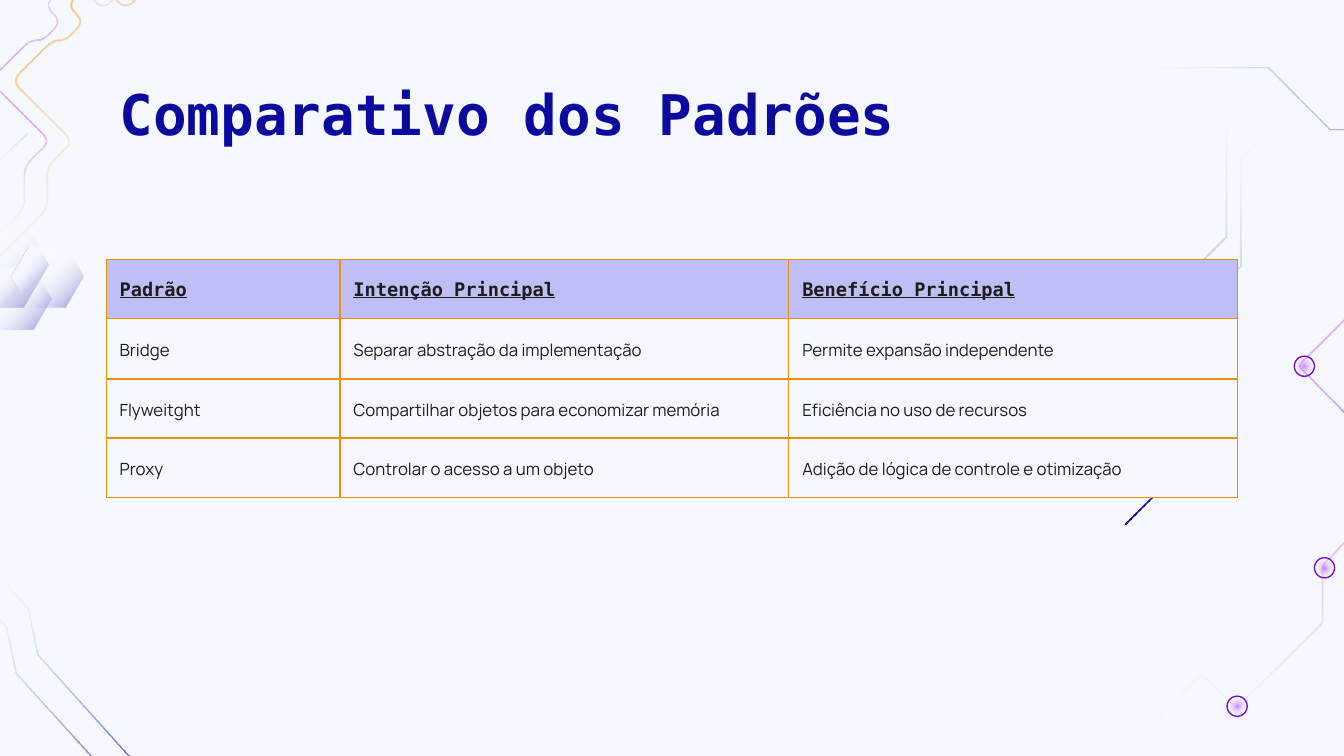
import math

from lxml import etree
from pptx import Presentation
from pptx import util as u
from pptx.dml.color import RGBColor
from pptx.enum import shapes, text
from pptx.oxml import ns

PX = 9144  # EMU in one px, 100 px to the inch
STROKE = u.Pt(0.9)

PAPER = RGBColor(0xF5, 0xF8, 0xFF)
WHITE = RGBColor(0xFF, 0xFF, 0xFF)
NAVY = RGBColor(0x0C, 0x0A, 0x9E)
VIOLET = RGBColor(0x99, 0x00, 0xFF)
RING = RGBColor(0x82, 0x08, 0xD5)
AMBER = RGBColor(0xEB, 0x91, 0x09)
ORANGE = RGBColor(0xFF, 0x99, 0x00)
LILAC = RGBColor(0xBF, 0xBE, 0xF7)
INK = RGBColor(0x1D, 0x1D, 0x1D)

MONO, SANS = "DejaVu Sans Mono", "Manrope"

# Gradient stops: position %, colour, opacity %
NAVY_FADE = [(0, NAVY, 100), (100, WHITE, 0)]
SOFT_NAVY_FADE = [(0, NAVY, 37), (100, WHITE, 0)]
VIOLET_GLOW = [(0, VIOLET, 47), (100, WHITE, 0)]
AMBER_FADE = [(0, AMBER, 100), (40, ORANGE, 41), (100, WHITE, 0)]
HEXAGON_FADE = [(0, PAPER, 100), (22, PAPER, 100), (45, WHITE, 0), (100, NAVY, 50)]

TRACK = [(837, 390), (877, 350), (877, 244), (923, 198),
         (923, 119), (948, 94), (991, 94), (991, 81)]
CIRCUIT = [(1207, 30), (1146, 92), (1178, 127), (1070, 236), (1035, 203), (966, 272),
           (1048, 355), (984, 420), (984, 463), (920, 526), (894, 501), (863, 532),
           (888, 558), (877, 572), (888, 585), (884, 590), (880, 585)]
CORNER_TRACK = [(119, 625), (110, 578), (28, 487), (21, 453), (-15, 413)]
WAVE = [(58, -63), (110, -10), (93, 7), (69, -16), (50, 4), (62, 16), (49, 30),
        (39, 30), (9, 60), (54, 105), (35, 123), (35, 155), (0, 190)]
HOOK = [(20, 99), (-10, 128), (-10, 71), (-32, 71), (-32, 19)]
NODES = [(913, 518), (978, 415), (963, 265)]
HEXAGONS = [(-38, 165, 74, 64), (-15, 199, 53, 46), (9, 183, 53, 46)]

COLUMNS = [174, 334, 334]
ROWS = [44, 45, 44, 44]
PATTERNS = [
    ["Padrão", "Intenção Principal", "Benefício Principal"],
    ["Bridge", "Separar abstração da implementação", "Permite expansão independente"],
    ["Flyweitght", "Compartilhar objetos para economizar memória",
     "Eficiência no uso de recursos"],
    ["Proxy", "Controlar o acesso a um objeto",
     "Adição de lógica de controle e otimização"],
]


def px(*lengths):
    return [round(length * PX) for length in lengths]


def shift(points, dx, dy):
    return [(x + dx, y + dy) for x, y in points]


def add_child(parent, tag, **attributes):
    return etree.SubElement(parent, ns.qn(tag), attributes)


def fill_gradient(shape, stops, angle=None):
    """Fill along an angle in clockwise degrees, or from the centre without one."""
    shape.fill.background()
    blank = shape._element.spPr.find(ns.qn("a:noFill"))
    gradient = etree.Element(ns.qn("a:gradFill"), rotWithShape="1")
    stop_list = add_child(gradient, "a:gsLst")
    for position, colour, opacity in stops:
        stop = add_child(stop_list, "a:gs", pos=str(position * 1000))
        tint = add_child(stop, "a:srgbClr", val=str(colour))
        add_child(tint, "a:alpha", val=str(opacity * 1000))
    if angle is None:
        glow = add_child(gradient, "a:path", path="circle")
        add_child(glow, "a:fillToRect", l="50000", t="50000", r="50000", b="50000")
    else:
        add_child(gradient, "a:lin", ang=str(angle * 60000), scaled="0")
    blank.getparent().replace(blank, gradient)


def round_corners(points, radius):
    """Replace each inner corner by a short sampled quadratic curve."""
    curve = [points[0]]
    for before, corner, after in zip(points, points[1:], points[2:]):
        ends = []
        for other in (before, after):
            length = math.dist(corner, other)
            part = min(radius, 0.45 * length) / length
            ends.append([c + (o - c) * part for c, o in zip(corner, other)])
        for step in range(7):
            t = step / 6
            curve.append(tuple((1 - t) ** 2 * a + 2 * t * (1 - t) * c + t ** 2 * b
                               for a, c, b in zip(ends[0], corner, ends[1])))
    return curve + [points[-1]]


def add_ribbon(page, points, stops, angle=None, radius=0):
    """Draw a thin filled band along a centre line, so that it can fade."""
    if radius:
        points = round_corners(points, radius)
    normals = []
    for (x1, y1), (x2, y2) in zip(points, points[1:]):
        length = math.dist((x1, y1), (x2, y2))
        normals.append(((y1 - y2) / length, (x2 - x1) / length))
    left, right = [], []
    joints = zip(points, normals[:1] + normals, normals + normals[-1:])
    for (x, y), (ax, ay), (bx, by) in joints:
        reach = STROKE / 2 / (1 + ax * bx + ay * by)
        dx, dy = (ax + bx) * reach, (ay + by) * reach
        left.append((round(x * PX + dx), round(y * PX + dy)))
        right.append((round(x * PX - dx), round(y * PX - dy)))
    outline = left + right[::-1]
    builder = page.shapes.build_freeform(*outline[0], scale=1.0)
    builder.add_line_segments(outline[1:], close=True)
    ribbon = builder.convert_to_shape()
    ribbon.shadow.inherit = False
    ribbon.line.fill.background()
    fill_gradient(ribbon, stops, angle)


def add_preset(page, kind, *frame):
    shape = page.shapes.add_shape(kind, *px(*frame))
    shape.shadow.inherit = False
    shape.fill.background()
    shape.line.fill.background()
    return shape


def add_node(page, left, top):
    ring = add_preset(page, shapes.MSO_SHAPE.OVAL, left, top, 15, 15)
    ring.line.color.rgb = RING
    ring.line.width = u.Pt(0.75)
    core = add_preset(page, shapes.MSO_SHAPE.OVAL, left + 2, top + 2, 11, 11)
    fill_gradient(core, VIOLET_GLOW)


def add_hexagon(page, *frame):
    hexagon = add_preset(page, shapes.MSO_SHAPE.HEXAGON, *frame)
    hexagon.adjustments[0] = 0.29
    fill_gradient(hexagon, HEXAGON_FADE, 45)


def add_span(para, words, size, font, colour, bold=False, underline=False):
    span = para.add_run()
    span.text = words
    span.font.size = u.Pt(size)
    span.font.name = font
    span.font.color.rgb = colour
    span.font.bold = bold
    span.font.underline = underline


def add_title(page, words):
    box = page.shapes.add_textbox(*px(79, 49, 843, 63))
    frame = box.text_frame
    frame.word_wrap = True
    frame.vertical_anchor = text.MSO_ANCHOR.TOP
    frame.margin_left = frame.margin_right = px(10)[0]
    frame.margin_top = frame.margin_bottom = px(10)[0]
    add_span(frame.paragraphs[0], words, 30, MONO, NAVY, bold=True)


def add_borders(cell):
    properties = cell._tc.get_or_add_tcPr()
    for index, side in enumerate(("a:lnL", "a:lnR", "a:lnT", "a:lnB")):
        line = etree.Element(ns.qn(side), w=str(u.Pt(0.75)))
        add_child(add_child(line, "a:solidFill"), "a:srgbClr", val=str(AMBER))
        properties.insert(index, line)


def fill_cell(cell, words, heading):
    cell.fill.solid()
    cell.fill.fore_color.rgb = LILAC if heading else PAPER
    cell.vertical_anchor = text.MSO_ANCHOR.MIDDLE
    cell.margin_left = cell.margin_right = px(10)[0]
    cell.margin_top = cell.margin_bottom = 0
    add_borders(cell)
    para = cell.text_frame.paragraphs[0]
    para.line_spacing = 1.15
    if heading:
        add_span(para, words, 10, MONO, INK, bold=True, underline=True)
    else:
        para.space_after = u.Pt(16)
        add_span(para, words, 9, SANS, INK)


def add_pattern_table(page):
    frame = px(79, 193, sum(COLUMNS), sum(ROWS))
    table = page.shapes.add_table(len(ROWS), len(COLUMNS), *frame).table
    table.first_row = table.horz_banding = False
    for column, width in zip(table.columns, px(*COLUMNS)):
        column.width = width
    for row, height, entries in zip(table.rows, px(*ROWS), PATTERNS):
        row.height = height
        for cell, words in zip(row.cells, entries):
            fill_cell(cell, words, heading=entries is PATTERNS[0])


def add_decoration(page):
    add_ribbon(page, TRACK, NAVY_FADE, 270)
    add_ribbon(page, shift(TRACK, -11, -22), NAVY_FADE, 270)
    add_ribbon(page, [(745 + y, 973 - x) for x, y in TRACK], NAVY_FADE, 180)
    add_ribbon(page, CIRCUIT, VIOLET_GLOW, radius=3)
    for node in NODES:
        add_node(page, *node)
    add_ribbon(page, CORNER_TRACK, NAVY_FADE, 228)
    add_ribbon(page, shift(CORNER_TRACK, -16, 14), NAVY_FADE, 228)
    for frame in HEXAGONS:
        add_hexagon(page, *frame)
    add_ribbon(page, WAVE, AMBER_FADE, 45, radius=8)
    add_ribbon(page, shift(WAVE, -17, 0), VIOLET_GLOW, radius=8)
    add_ribbon(page, HOOK, SOFT_NAVY_FADE, 135)


def main():
    deck = Presentation()
    deck.slide_width = px(1000)[0]
    deck.slide_height = deck.slide_width * 9 // 16
    page = deck.slides.add_slide(deck.slide_layouts[6])
    page.background.fill.solid()
    page.background.fill.fore_color.rgb = PAPER
    add_decoration(page)
    add_title(page, "Comparativo dos Padrões")
    add_pattern_table(page)
    deck.save("out.pptx")


if __name__ == "__main__":
    main()
